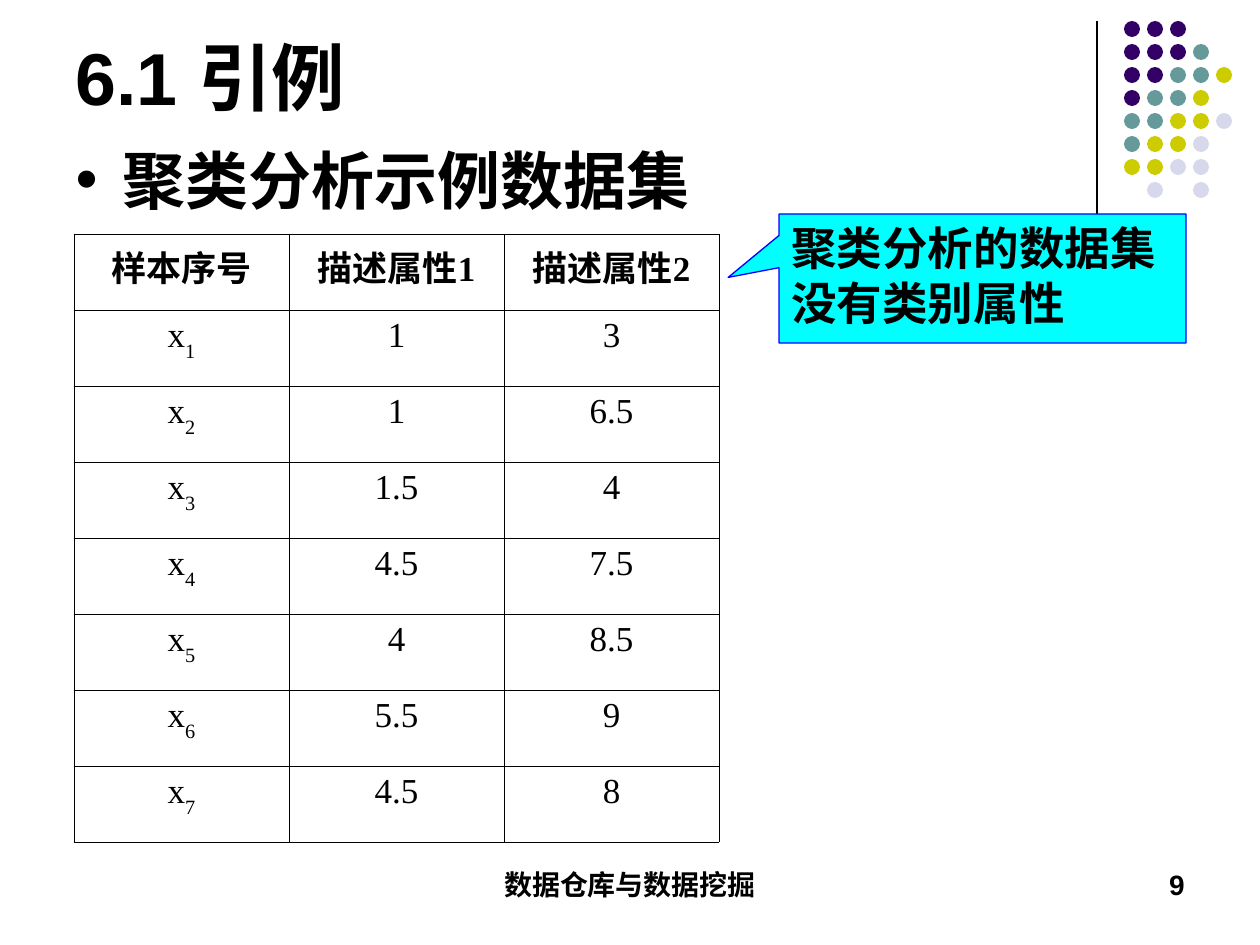
from lxml import etree
from pptx import Presentation
from pptx.dml.color import RGBColor
from pptx.enum.shapes import MSO_CONNECTOR, MSO_SHAPE
from pptx.enum.text import MSO_ANCHOR, MSO_AUTO_SIZE, PP_ALIGN
from pptx.oxml.ns import qn
from pptx.util import Emu, Pt

EMU_PER_PX = 914400 / 126
LEFT, CENTER, RIGHT = PP_ALIGN.LEFT, PP_ALIGN.CENTER, PP_ALIGN.RIGHT
TOP, BOTTOM = MSO_ANCHOR.TOP, MSO_ANCHOR.BOTTOM
NO_AUTOFIT = MSO_AUTO_SIZE.NONE
STRAIGHT = MSO_CONNECTOR.STRAIGHT
OVAL, CALLOUT = MSO_SHAPE.OVAL, MSO_SHAPE.RECTANGULAR_CALLOUT

BLACK = RGBColor(0x00, 0x00, 0x00)
PURPLE = RGBColor(0x33, 0x00, 0x66)
TEAL = RGBColor(0x66, 0x99, 0x99)
OLIVE = RGBColor(0xCC, 0xCC, 0x00)
LAVENDER = RGBColor(0xD8, 0xD8, 0xEC)
CYAN = RGBColor(0x00, 0xFF, 0xFF)
BLUE = RGBColor(0x00, 0x00, 0xFF)

DOT_COLORS = {"P": PURPLE, "T": TEAL, "O": OLIVE, "L": LAVENDER}
DOT_ROWS = ["PPP", "PPPT", "PPTTO", "PTTO", "TTOOL", "TOOL", "OOLL", " L L"]

HEADERS = ["样本序号", "描述属性1", "描述属性2"]
SAMPLES = [("1", "3"), ("1", "6.5"), ("1.5", "4"), ("4.5", "7.5"),
           ("4", "8.5"), ("5.5", "9"), ("4.5", "8")]


def px(length):
    return Emu(round(length * EMU_PER_PX))


class SlideBuilder:
    heading_font = "Arial"
    table_font = "Times New Roman"

    def __init__(self, presentation):
        self.slide = presentation.slides.add_slide(presentation.slide_layouts[1])
        self.shapes = self.slide.shapes

    def style(self, paragraph, size, alignment=LEFT, font_name=heading_font, bold=True):
        paragraph.alignment = alignment
        paragraph.space_before = Pt(0)
        font = paragraph.font
        font.name, font.size, font.bold = font_name, Pt(size), bold
        font.color.rgb = BLACK

    def set_text(self, shape, text, size, alignment=LEFT, anchor=TOP):
        frame = shape.text_frame
        frame.word_wrap = True
        frame.auto_size = NO_AUTOFIT
        frame.vertical_anchor = anchor
        frame.text = text
        self.style(frame.paragraphs[0], size, alignment)

    def place(self, shape, left, top, width, height):
        shape.left, shape.top = px(left), px(top)
        shape.width, shape.height = px(width), px(height)

    def title(self, text, box):
        shape = self.shapes.title
        self.place(shape, *box)
        self.set_text(shape, text, 42, anchor=BOTTOM)

    def bullet(self, text, box):
        shape = self.slide.placeholders[1]
        self.place(shape, *box)
        properties = shape.text_frame.paragraphs[0]._p.get_or_add_pPr()
        properties.set("marL", str(px(47)))
        properties.set("indent", str(px(-47)))
        color = etree.SubElement(properties, qn("a:buClr"))
        etree.SubElement(color, qn("a:srgbClr"), val=str(PURPLE))
        etree.SubElement(properties, qn("a:buSzPct"), val="70000")
        etree.SubElement(properties, qn("a:buChar"), char="●")
        self.set_text(shape, text, 36)

    def label(self, text, box, alignment):
        shape = self.shapes.add_textbox(*map(px, box))
        self.set_text(shape, text, 16, alignment)

    def vertical_line(self, x, top, bottom):
        line = self.shapes.add_connector(STRAIGHT, px(x), px(top), px(x), px(bottom))
        line.line.color.rgb = BLACK
        line.line.width = Pt(0.75)
        etree.SubElement(line._element.spPr, qn("a:effectLst"))

    def dots(self, left, top, diameter, pitch):
        group = self.shapes.add_group_shape()
        for row, pattern in enumerate(DOT_ROWS):
            for column, key in enumerate(pattern):
                if key in DOT_COLORS:
                    dot = group.shapes.add_shape(
                        OVAL, px(left + column * pitch), px(top + row * pitch),
                        px(diameter), px(diameter))
                    dot.shadow.inherit = False
                    dot.fill.solid()
                    dot.fill.fore_color.rgb = DOT_COLORS[key]
                    dot.line.fill.background()

    def callout(self, text, box):
        shape = self.shapes.add_shape(CALLOUT, *map(px, box))
        shape.adjustments[0], shape.adjustments[1] = -0.625, -0.008
        shape.shadow.inherit = False
        shape.fill.solid()
        shape.fill.fore_color.rgb = CYAN
        shape.line.color.rgb = BLUE
        shape.line.width = Pt(0.75)
        self.set_text(shape, text, 26)

    def cell_borders(self, cell):
        properties = cell._tc.get_or_add_tcPr()
        for position, side in enumerate(("a:lnL", "a:lnR", "a:lnT", "a:lnB")):
            border = etree.Element(qn(side), w=str(Pt(0.45)))
            fill = etree.SubElement(border, qn("a:solidFill"))
            etree.SubElement(fill, qn("a:srgbClr"), val=str(BLACK))
            properties.insert(position, border)

    def table(self, left, top, column_width, row_height):
        row_count, column_count = len(SAMPLES) + 1, len(HEADERS)
        table = self.shapes.add_table(
            row_count, column_count, px(left), px(top),
            px(column_width * column_count), px(row_height * row_count)).table
        table.first_row = table.horz_banding = False
        rows = [HEADERS] + [("x", *values) for values in SAMPLES]
        for column in table.columns:
            column.width = px(column_width)
        for row, texts in enumerate(rows):
            table.rows[row].height = px(row_height)
            for column, text in enumerate(texts):
                cell = table.cell(row, column)
                cell.fill.background()
                self.cell_borders(cell)
                paragraph = cell.text_frame.paragraphs[0]
                paragraph.add_run().text = text
                if row and column == 0:
                    subscript = paragraph.add_run()
                    subscript.text = str(row)
                    subscript.font._element.set("baseline", "-30000")
                self.style(paragraph, 20, CENTER, self.table_font, row == 0)


def main():
    presentation = Presentation()
    presentation.slide_width, presentation.slide_height = px(1260), px(945)
    builder = SlideBuilder(presentation)
    builder.vertical_line(1097, 21, 231)
    builder.dots(1124, 21, 16, 23)
    builder.label("数据仓库与数据挖掘", (430, 861, 400, 63), CENTER)
    builder.label("9", (903, 861, 294, 63), RIGHT)
    builder.title("6.1 引例", (63, -11, 1040, 138))
    builder.bullet("聚类分析示例数据集", (63, 135, 1123, 665))
    builder.table(74, 234, 215, 76)
    builder.callout("聚类分析的数据集没有类别属性", (779, 214, 407, 129))
    presentation.save("out.pptx")


if __name__ == "__main__":
    main()
